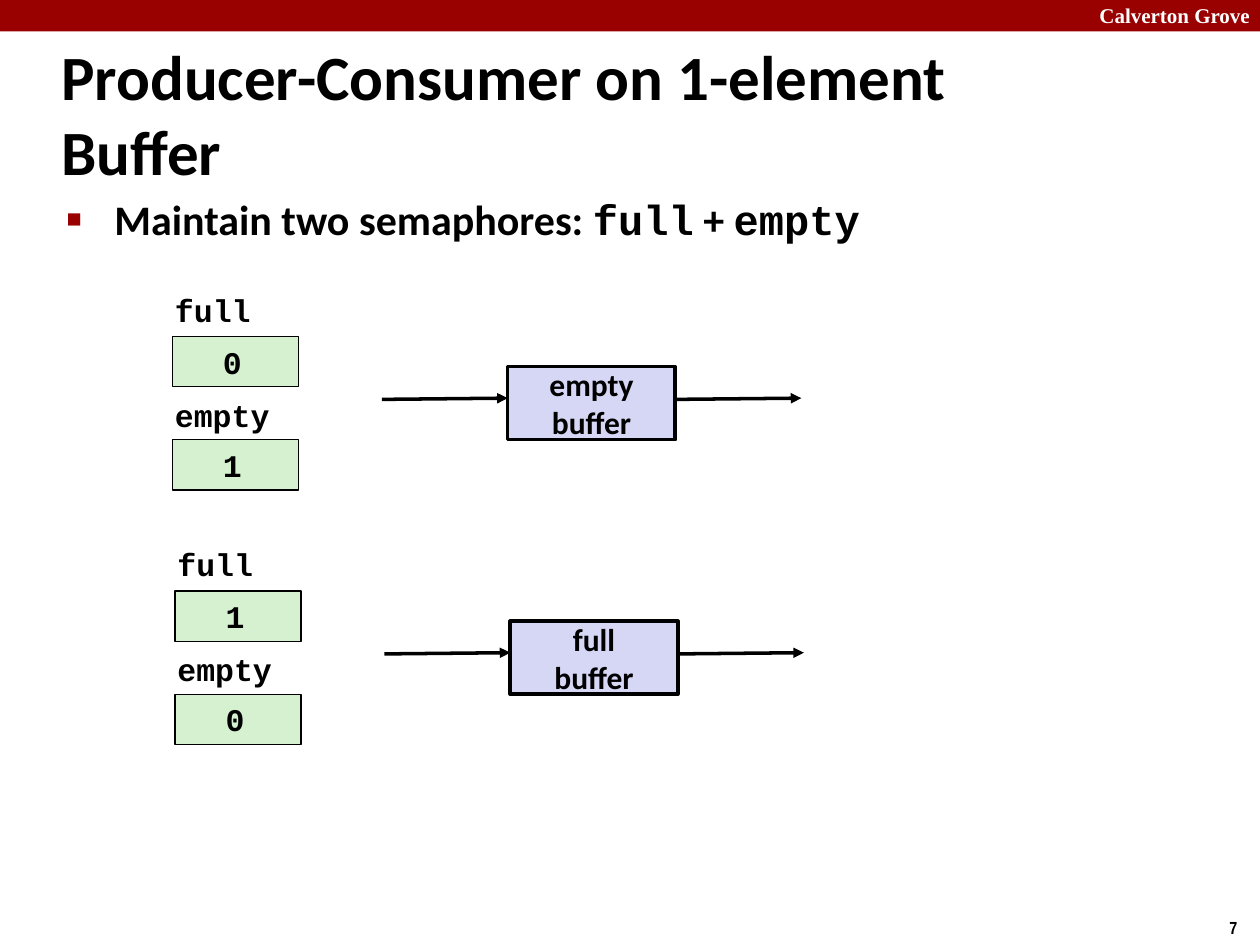
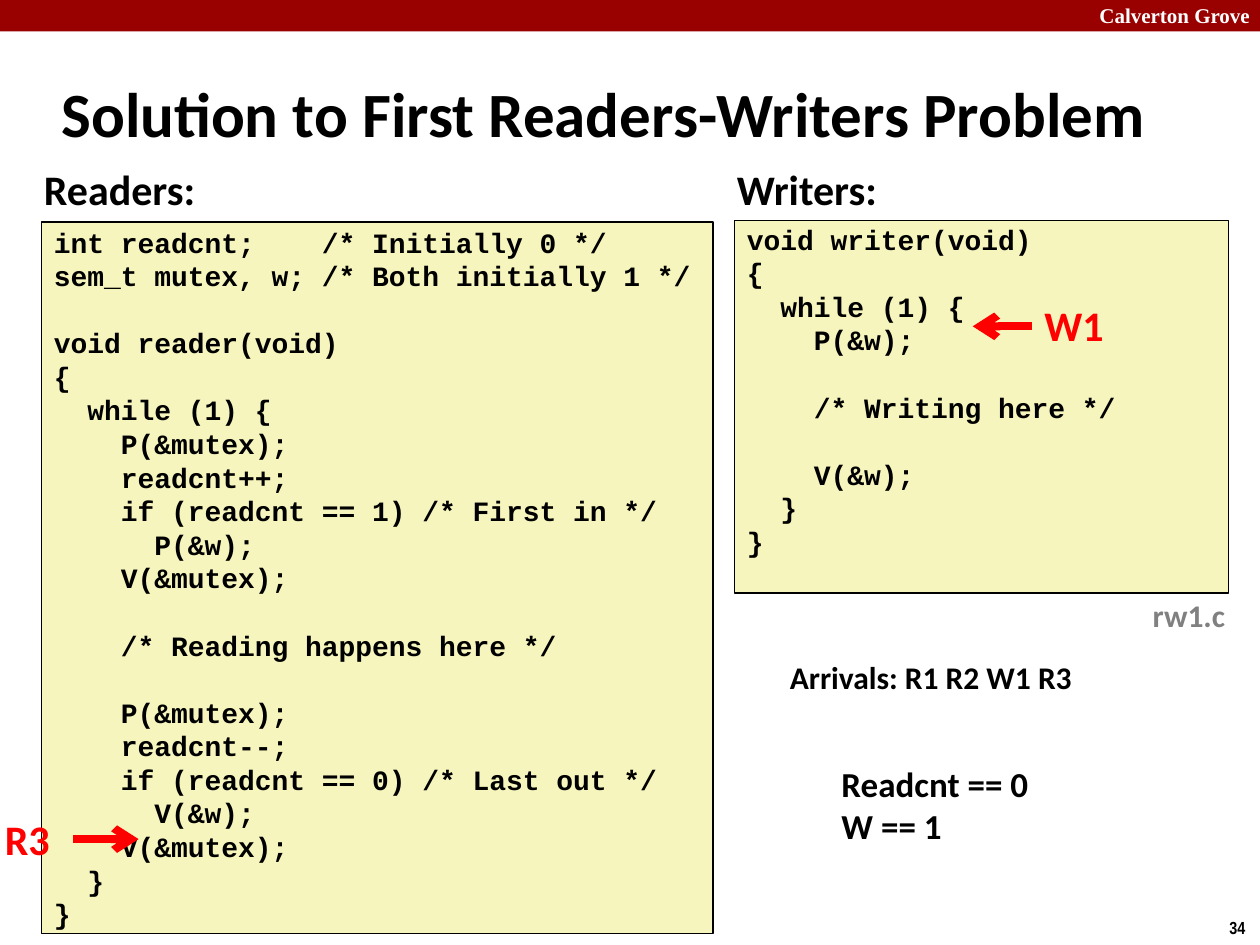
from lxml import etree
from pptx import Presentation
from pptx.dml.color import RGBColor
from pptx.enum.shapes import MSO_CONNECTOR, MSO_SHAPE
from pptx.enum.text import MSO_ANCHOR, MSO_AUTO_SIZE, PP_ALIGN
from pptx.oxml.ns import qn
from pptx.util import Emu, Pt

PX = 9144  # 100 px to the inch
RECTANGLE = MSO_SHAPE.RECTANGLE
STRAIGHT = MSO_CONNECTOR.STRAIGHT
TOP, MIDDLE = MSO_ANCHOR.TOP, MSO_ANCHOR.MIDDLE
LEFT, CENTER, RIGHT = PP_ALIGN.LEFT, PP_ALIGN.CENTER, PP_ALIGN.RIGHT
FIXED, GROW = MSO_AUTO_SIZE.NONE, MSO_AUTO_SIZE.SHAPE_TO_FIT_TEXT

SANS, CODE, SERIF, NARROW = "Calibri", "Courier New", "Times New Roman", "Arial Narrow"
COLORS = {
    "band": "990000",
    "white": "FFFFFF",
    "ink": "000000",
    "buffer": "D6D6F5",
    "semaphore": "D5F1CF",
    "code": "F6F5BD",
    "file": "808080",
    "marker": "FF0000",
}


def add_text(slide, box, text, size, font=SANS, color="ink", fill=None, border=0,
             align=LEFT, anchor=TOP, wrap=False, inset_x=10, inset_y=5):
    """Add bold text, in a filled rectangle if a fill is given."""
    place = [Emu(n * PX) for n in box]
    if fill:
        shape = slide.shapes.add_shape(RECTANGLE, *place)
        shape.shadow.inherit = False
        shape.fill.solid()
        shape.fill.fore_color.rgb = RGBColor.from_string(COLORS[fill])
        if border:
            shape.line.color.rgb = RGBColor.from_string(COLORS["ink"])
            shape.line.width = Pt(border)
        else:
            shape.line.fill.background()
    else:
        shape = slide.shapes.add_textbox(*place)
    frame = shape.text_frame
    frame.text = text
    frame.word_wrap = wrap
    frame.auto_size = FIXED if wrap or fill else GROW
    frame.vertical_anchor = anchor
    frame.margin_left, frame.margin_right = Emu(inset_x * PX), Emu(10 * PX)
    frame.margin_top = frame.margin_bottom = Emu(inset_y * PX)
    for paragraph in frame.paragraphs:
        paragraph.alignment = align
        for run in paragraph.runs:
            run.font.size, run.font.name, run.font.bold = Pt(size), font, True
            run.font.color.rgb = RGBColor.from_string(COLORS[color])
        if not paragraph.runs:  # an empty line keeps the height of its neighbours
            end = etree.SubElement(paragraph._p, qn("a:endParaRPr"), sz=str(size * 100), b="1")
            etree.SubElement(end, qn("a:latin"), typeface=font)
    return shape


def add_arrow(slide, start, end, color, width, head):
    arrow = slide.shapes.add_connector(STRAIGHT, *[Emu(n * PX) for n in start + end])
    arrow.line.color.rgb = RGBColor.from_string(COLORS[color])
    arrow.line.width = Pt(width)
    etree.SubElement(arrow.line._get_or_add_ln(), qn("a:tailEnd"), type=head)
    etree.SubElement(arrow._element.spPr, qn("a:effectLst"))


prs = Presentation()
prs.slide_width, prs.slide_height = Emu(1000 * PX), Emu(750 * PX)
blank = prs.slide_layouts[6]

# Shared band, school name, page number and title
pages = [
    ("7", "Producer-Consumer on 1-element Buffer", 830),
    ("34", "Solution to First Readers-Writers Problem", 936),
]
slides = []
for number, title, title_width in pages:
    slide = prs.slides.add_slide(blank)
    add_text(slide, (0, 0, 1000, 25), "", 12, fill="band")
    add_text(slide, (752, -3, 250, 30), "Calverton Grove", 12, SERIF, "white",
             align=RIGHT, wrap=True)
    add_text(slide, (966, 723, 34, 27), number, 10, NARROW)
    add_text(slide, (39, 48, title_width, 83), title, 36, anchor=MIDDLE, wrap=True)
    slides.append(slide)
producer_consumer, readers_writers = slides

# Semaphore bullet
body = add_text(producer_consumer, (43, 149, 864, 544), "", 24, wrap=True)
bullet = body.text_frame.paragraphs[0]
bullet.space_before = Pt(5)
for words, font in [("Maintain two semaphores: ", SANS), ("full", CODE), (" + ", SANS), ("empty", CODE)]:
    run = bullet.add_run()
    run.text = words
    run.font.size, run.font.name, run.font.bold = Pt(24), font, True
    run.font.color.rgb = RGBColor.from_string(COLORS["ink"])
props = bullet._p.get_or_add_pPr()
props.set("marL", str(38 * PX))
props.set("indent", str(-38 * PX))
bullet_color = etree.SubElement(props, qn("a:buClr"))
etree.SubElement(bullet_color, qn("a:srgbClr"), val=COLORS["band"])
etree.SubElement(props, qn("a:buSzPct"), val="60000")
etree.SubElement(props, qn("a:buFont"), typeface="Arial")
etree.SubElement(props, qn("a:buChar"), char="■")

# The two buffer states, each with its semaphore values
states = [(0, 0, "empty", "0", "1"), (2, 202, "full", "1", "0")]
for dx, dy, state, full, empty in states:
    add_text(producer_consumer, (403 + dx, 291 + dy, 133, 58), state + "\nbuffer", 18,
             fill="buffer", border=2, align=CENTER, anchor=MIDDLE, inset_y=0)
    for x in (303, 536):
        add_arrow(producer_consumer, (x + dx, 317 + dy), (x + dx + 100, 316 + dy),
                  "ink", 2, "triangle")
    for row, (semaphore, value, width) in enumerate([("full", full, 81), ("empty", empty, 96)]):
        y = 267 + dy + row * 82
        add_text(producer_consumer, (137 + dx, y, 100, 40), value, 18, CODE,
                 fill="semaphore", border=0.75, wrap=True, inset_x=40)
        add_text(producer_consumer, (129 + dx, y - 41 + row, width, 40), semaphore, 18, CODE)

# Reader and writer code
reader_code = """int readcnt;    /* Initially 0 */
sem_t mutex, w; /* Both initially 1 */

void reader(void)
{
  while (1) {
    P(&mutex);
    readcnt++;
    if (readcnt == 1) /* First in */
      P(&w);
    V(&mutex);

    /* Reading happens here */

    P(&mutex);
    readcnt--;
    if (readcnt == 0) /* Last out */
      V(&w);
    V(&mutex);
  }
}"""
writer_code = """void writer(void)
{
  while (1) {
    P(&w);

    /* Writing here */

    V(&w);
  }
}
"""
for box, code in [((33, 176, 533, 565), reader_code), ((583, 175, 392, 296), writer_code)]:
    add_text(readers_writers, box, code, 16, CODE, fill="code", border=1,
             anchor=MIDDLE, wrap=True, inset_y=0)

# Headings, file name and current state
captions = [
    ((25, 125, 141, 50), "Readers:", 24, "ink"),
    ((575, 125, 132, 50), "Writers:", 24, "ink"),
    ((905, 468, 78, 40), "rw1.c", 18, "file"),
    ((617, 517, 246, 40), "Arrivals: R1 R2 W1 R3", 18, "ink"),
    ((658, 600, 170, 77), "Readcnt == 0\nW == 1", 20, "ink"),
]
for box, caption, size, color in captions:
    add_text(readers_writers, box, caption, size, color=color)

# Markers for where each thread stands
threads = [
    ("W1", (819, 233, 75, 50), (819, 259), (772, 259)),
    ("R3", (-6, 641, 64, 50), (58, 666), (110, 666)),
]
for thread, box, start, end in threads:
    add_text(readers_writers, box, thread, 24, color="marker")
    add_arrow(readers_writers, start, end, "marker", 4.5, "arrow")

prs.save("out.pptx")
